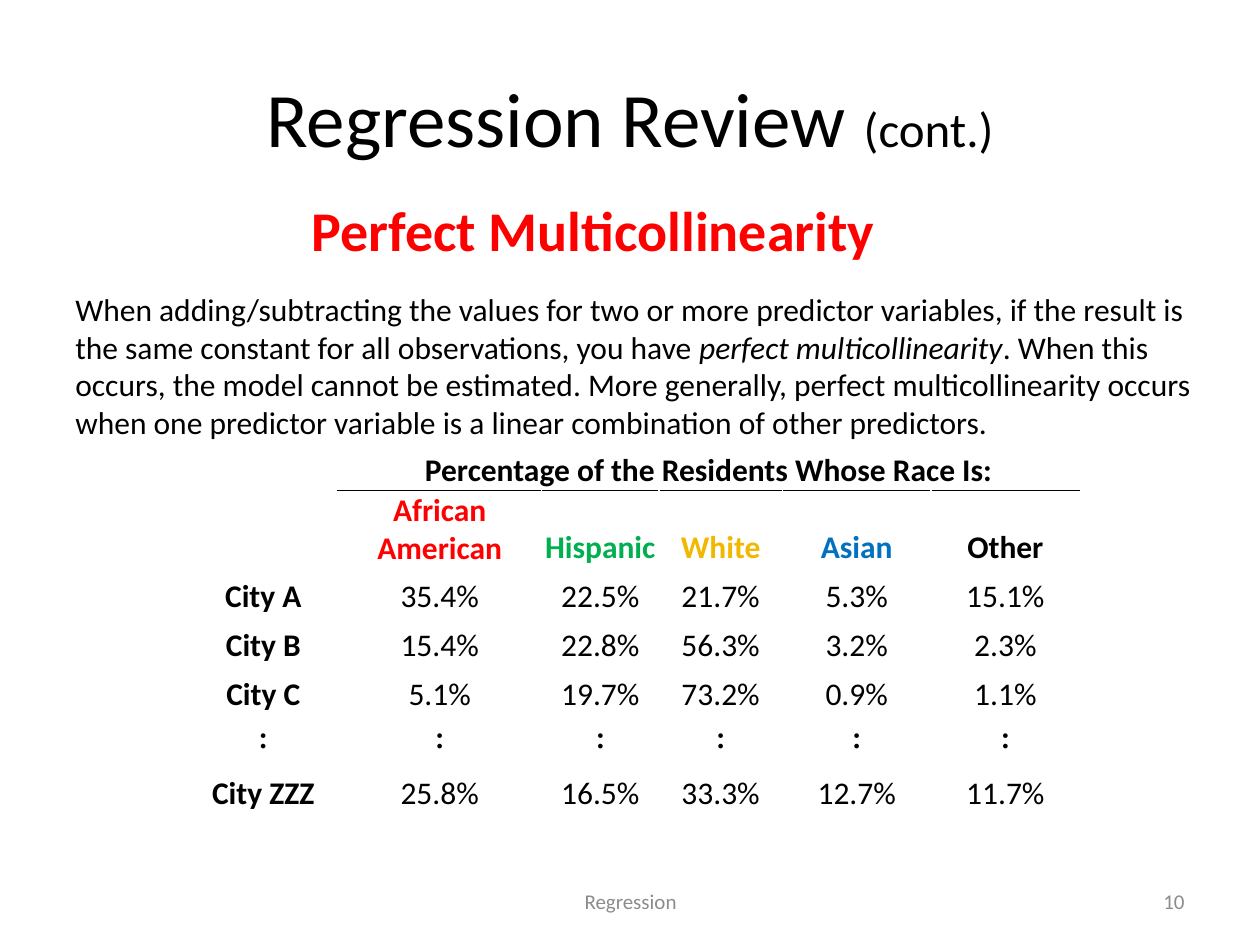
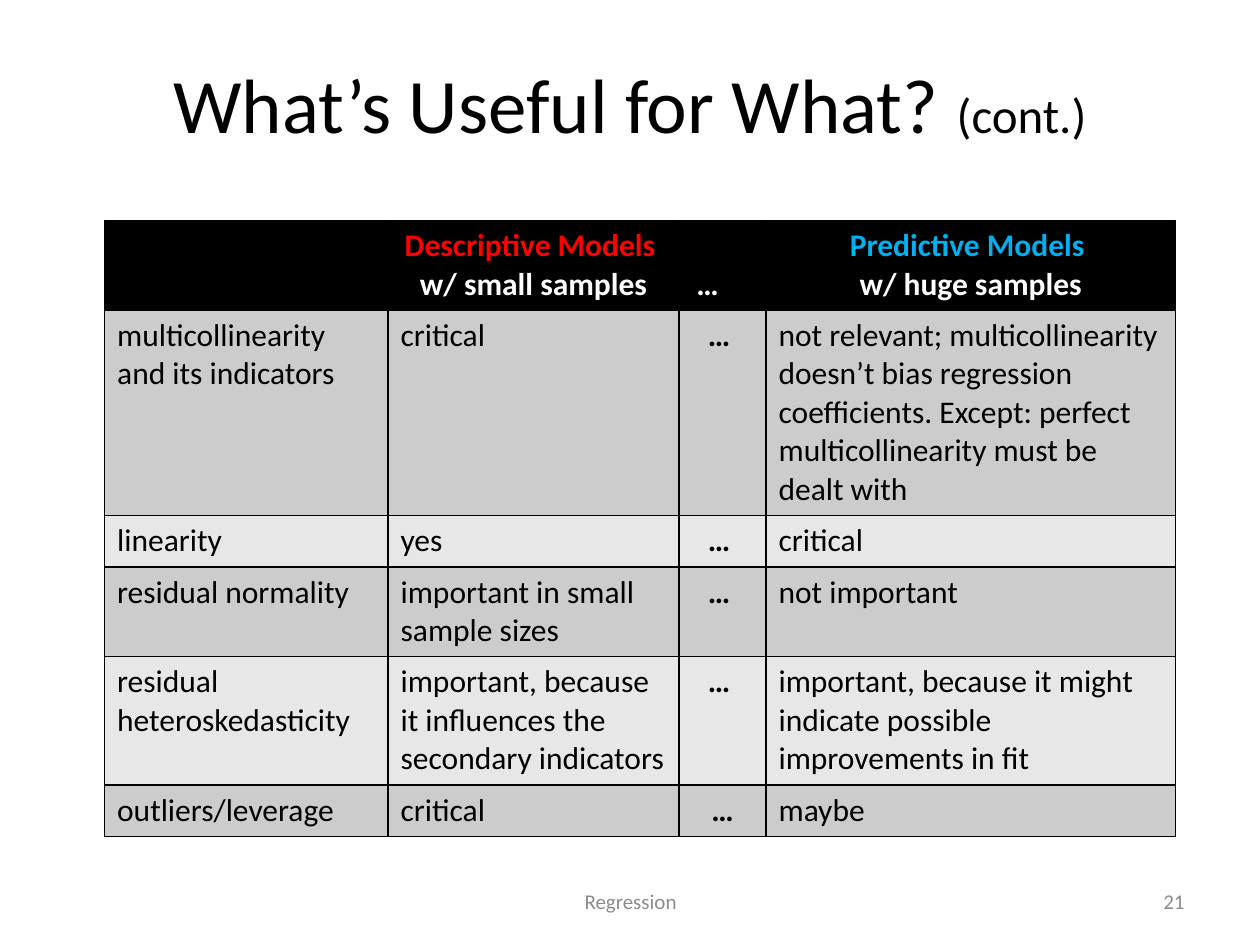
from lxml import etree
from pptx import Presentation
from pptx.dml.color import RGBColor
from pptx.enum.text import MSO_ANCHOR, PP_ALIGN
from pptx.oxml.ns import qn
from pptx.util import Pt

PX = 9144  # EMU in one px, 100 px to the inch
LEFT, CENTER, RIGHT = PP_ALIGN.LEFT, PP_ALIGN.CENTER, PP_ALIGN.RIGHT
TOP, MIDDLE, BOTTOM = MSO_ANCHOR.TOP, MSO_ANCHOR.MIDDLE, MSO_ANCHOR.BOTTOM
BLANK = 6
COLORS = {
    "black": "000000", "white": "FFFFFF", "grey": "8C8C8C",
    "band_dark": "CCCCCC", "band_light": "E7E7E7",
    "red": "FF0000", "green": "00B050", "gold": "F2B800",
    "blue": "0070C0", "sky": "00B0F0",
}


def rgb(name):
    return RGBColor.from_string(COLORS[name])


class Deck:
    font = "Calibri"
    body_size = 18
    insets = (10, 5, 10, 5)

    def __init__(self, width, height):
        self.prs = Presentation()
        self.prs.slide_width, self.prs.slide_height = width * PX, height * PX
        self.s = None

    def add_slide(self, title, title_height, number):
        self.s = self.prs.slides.add_slide(self.prs.slide_layouts[BLANK])
        self.text(50, 30, 900, title_height,
                  [[(title + " ", {"size": 44}), ("(cont.)", {"size": 28})]], CENTER, MIDDLE)
        small = {"size": 12, "color": "grey"}
        self.text(342, 695, 317, 40, [[("Regression", small)]], CENTER, MIDDLE)
        self.text(717, 695, 233, 40, [[(str(number), small)]], RIGHT, MIDDLE)

    def fill_text(self, tf, paragraphs, align):
        """Each paragraph is a list of (text, style) runs."""
        for i, runs in enumerate(paragraphs):
            p = tf.add_paragraph() if i else tf.paragraphs[0]
            p.alignment = align
            for text, style in runs:
                r = p.add_run()
                r.text = text
                r.font.name = self.font
                r.font.size = Pt(style.get("size", self.body_size))
                r.font.bold = style.get("bold", False)
                r.font.italic = style.get("italic", False)
                r.font.color.rgb = rgb(style.get("color", "black"))

    def text(self, x, y, w, h, paragraphs, align=LEFT, anchor=TOP):
        tf = self.s.shapes.add_textbox(x * PX, y * PX, w * PX, h * PX).text_frame
        tf.word_wrap = True
        tf.vertical_anchor = anchor
        self.fill_text(tf, paragraphs, align)

    def table(self, x, y, cols, rows):
        frame = self.s.shapes.add_table(len(rows), len(cols), x * PX, y * PX,
                                        sum(cols) * PX, sum(rows) * PX)
        table = frame.table
        table.first_row = table.horz_banding = False
        for col, width in zip(table.columns, cols):
            col.width = width * PX
        for row, height in zip(table.rows, rows):
            row.height = height * PX
        return table

    def cell(self, cell, paragraphs, align=LEFT, anchor=TOP, insets=insets,
             fill=None, borders="", line=1):
        """borders names the black edges, in the order L, R, T, B."""
        (cell.margin_left, cell.margin_top,
         cell.margin_right, cell.margin_bottom) = [inset * PX for inset in insets]
        cell.vertical_anchor = anchor
        tc_pr = cell._tc.get_or_add_tcPr()
        for side in borders:
            ln = etree.SubElement(tc_pr, qn("a:ln" + side), w=str(Pt(line)))
            solid = etree.SubElement(ln, qn("a:solidFill"))
            etree.SubElement(solid, qn("a:srgbClr"), val=COLORS["black"])
        if fill:
            cell.fill.solid()
            cell.fill.fore_color.rgb = rgb(fill)
        else:
            cell.fill.background()
        self.fill_text(cell.text_frame, paragraphs, align)


def multicollinearity_slide(deck):
    deck.add_slide("Regression Review", 125, 10)
    deck.text(142, 150, 658, 75,
              [[("Perfect Multicollinearity", {"size": 32, "color": "red", "bold": True})]], CENTER)
    deck.text(50, 225, 924, 131, [[
        ("When adding/subtracting the values for two or more predictor variables, if the "
         "result is the same constant for all observations, you have ", {}),
        ("perfect multicollinearity", {"italic": True}),
        (". When this occurs, the model cannot be estimated. More generally, perfect "
         "multicollinearity occurs when one predictor variable is a linear combination "
         "of other predictors.", {}),
    ]])

    races = ["", "African American", "Hispanic", "White", "Asian", "Other"]
    race_colors = ["black", "red", "green", "gold", "blue", "black"]
    grid = [
        ["", "Percentage of the Residents Whose Race Is:", "", "", "", ""],
        races,
        ["City A", "35.4%", "22.5%", "21.7%", "5.3%", "15.1%"],
        ["City B", "15.4%", "22.8%", "56.3%", "3.2%", "2.3%"],
        ["City C", "5.1%", "19.7%", "73.2%", "0.9%", "1.1%"],
        ["˸"] * len(races),
        ["City ZZZ", "25.8%", "16.5%", "33.3%", "12.7%", "11.7%"],
    ]
    table = deck.table(150, 350, [118, 162, 93, 98, 118, 118], [39, 61] + [39] * 5)
    table.cell(0, 1).merge(table.cell(0, 5))
    rule_edges = {0: "B", 1: "T"}
    for i, row in enumerate(grid):
        for j, value in enumerate(row):
            style = {"bold": i < 2 or j == 0 or value == "˸",
                     "color": race_colors[j] if i == 1 else "black"}
            deck.cell(table.cell(i, j), [[(value, style)]] if value else [], CENTER, BOTTOM,
                      insets=(1, 1, 1, 0), borders=rule_edges.get(i, "") if j else "", line=0.5)


def usefulness_slide(deck):
    deck.add_slide("What’s Useful for What?", 103, 21)
    table = deck.table(83, 175, [225, 231, 69, 325], [71, 163, 41, 71, 102, 41])
    edges = "LRTB"

    def model_heading(name, color, samples):
        return [[(name + " ", {"bold": True, "color": color})],
                [(samples, {"bold": True, "color": "white"})]]

    headings = [
        [],
        model_heading("Descriptive Models", "red", "w/ small samples"),
        [[("…", {"bold": True, "color": "white"})]],
        model_heading("Predictive Models", "sky", "w/ huge samples"),
    ]
    for j, heading in enumerate(headings):
        deck.cell(table.cell(0, j), heading, CENTER, BOTTOM, fill="black", borders=edges,
                  insets=(10, 5, 34, 5) if j == 2 else deck.insets)

    findings = [
        ("multicollinearity and its indicators", "critical", "… ",
         "not relevant; multicollinearity doesn’t bias regression coefficients. "
         "Except: perfect multicollinearity must be dealt with"),
        ("linearity", "yes", "… ", "critical"),
        ("residual normality", "important in small sample sizes", "… ", "not important"),
        ("residual heteroskedasticity",
         "important, because it influences the secondary indicators", "… ",
         "important, because it might indicate possible improvements in fit"),
        ("outliers/leverage", "critical", "…", "maybe"),
    ]
    for i, row in enumerate(findings, start=1):
        for j, value in enumerate(row):
            skipped = j == 2
            deck.cell(table.cell(i, j), [[(value, {"bold": skipped})]],
                      CENTER if skipped else LEFT, borders=edges,
                      fill="band_dark" if i % 2 else "band_light")


def main():
    deck = Deck(1000, 750)
    multicollinearity_slide(deck)
    usefulness_slide(deck)
    deck.prs.save("out.pptx")


if __name__ == "__main__":
    main()
